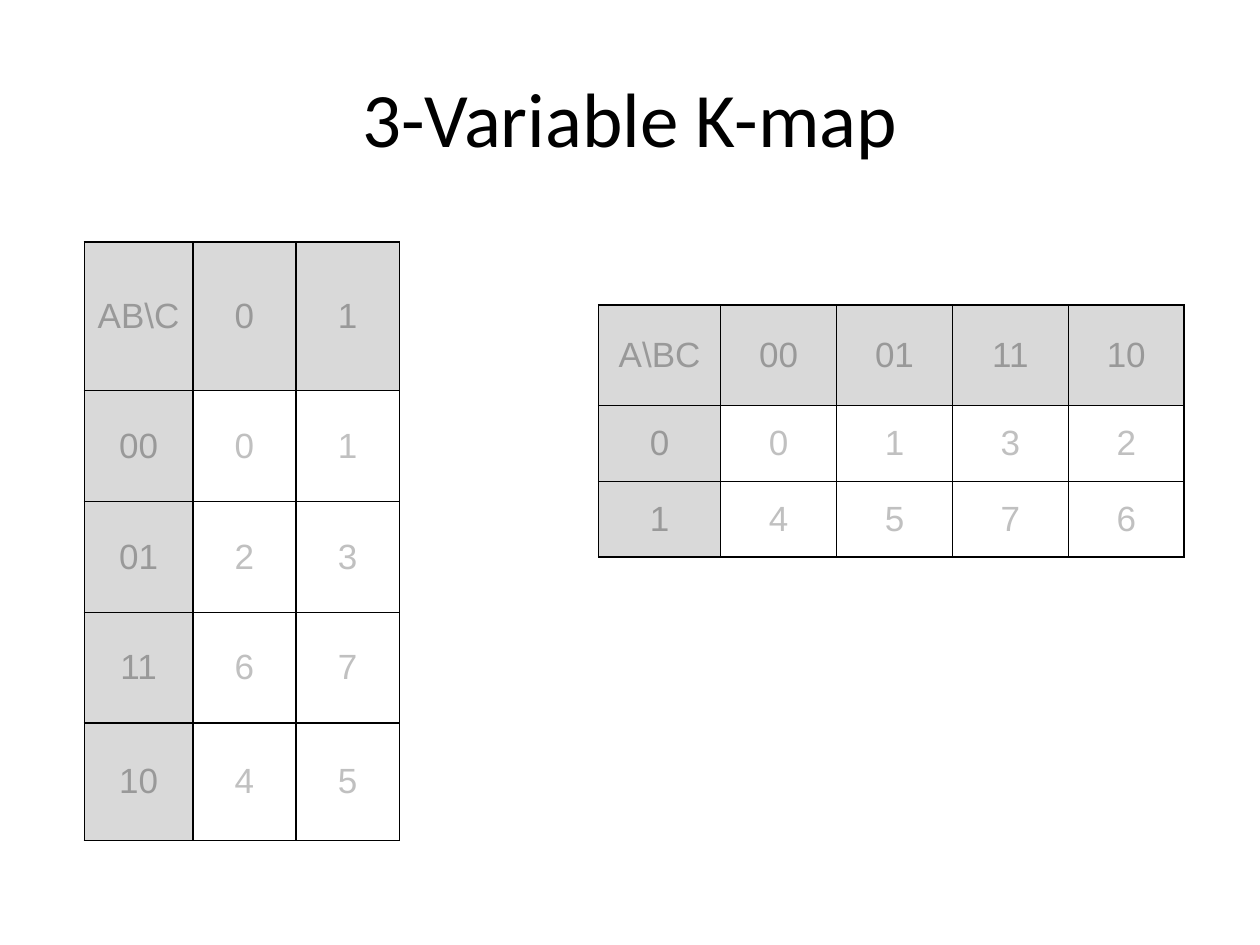
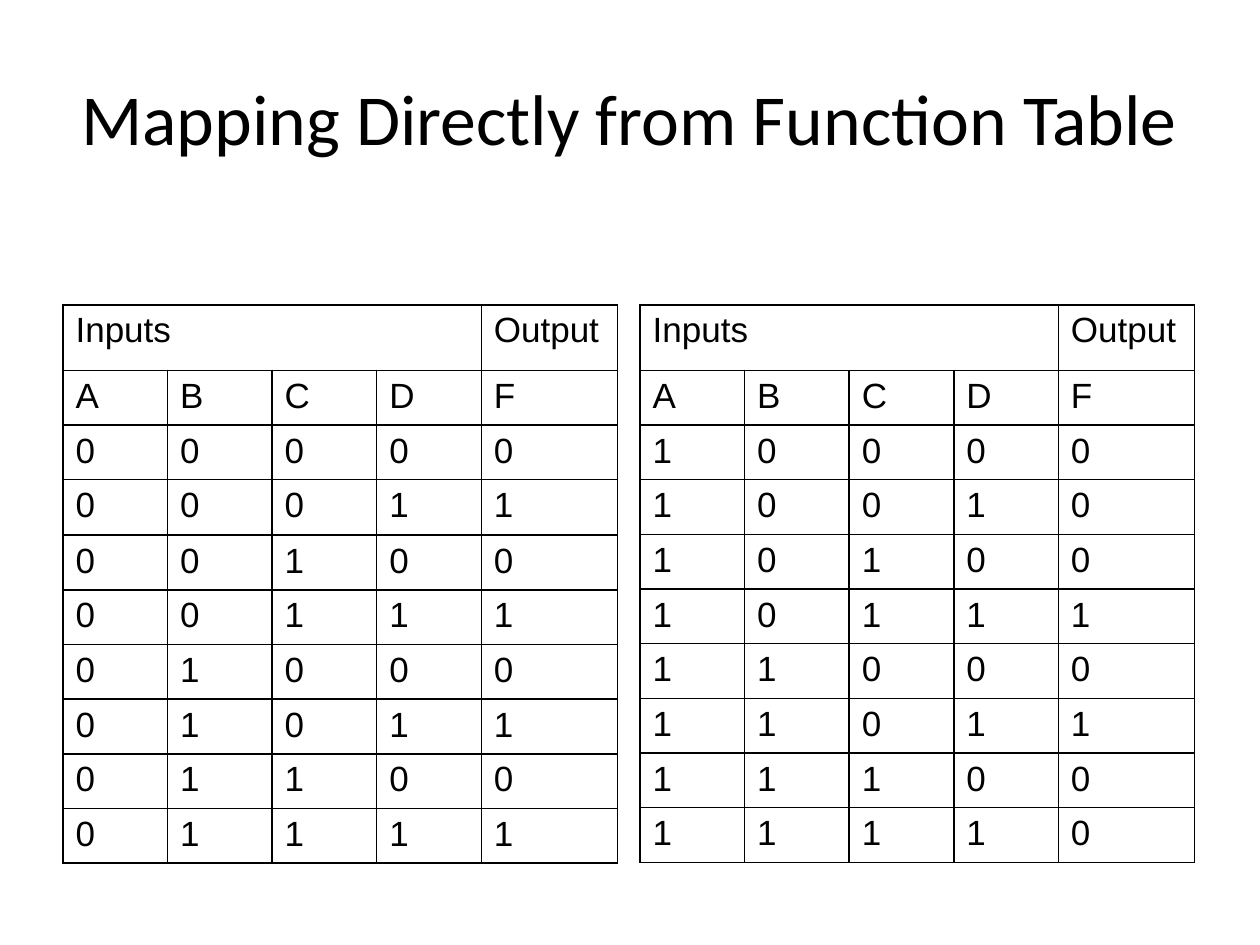
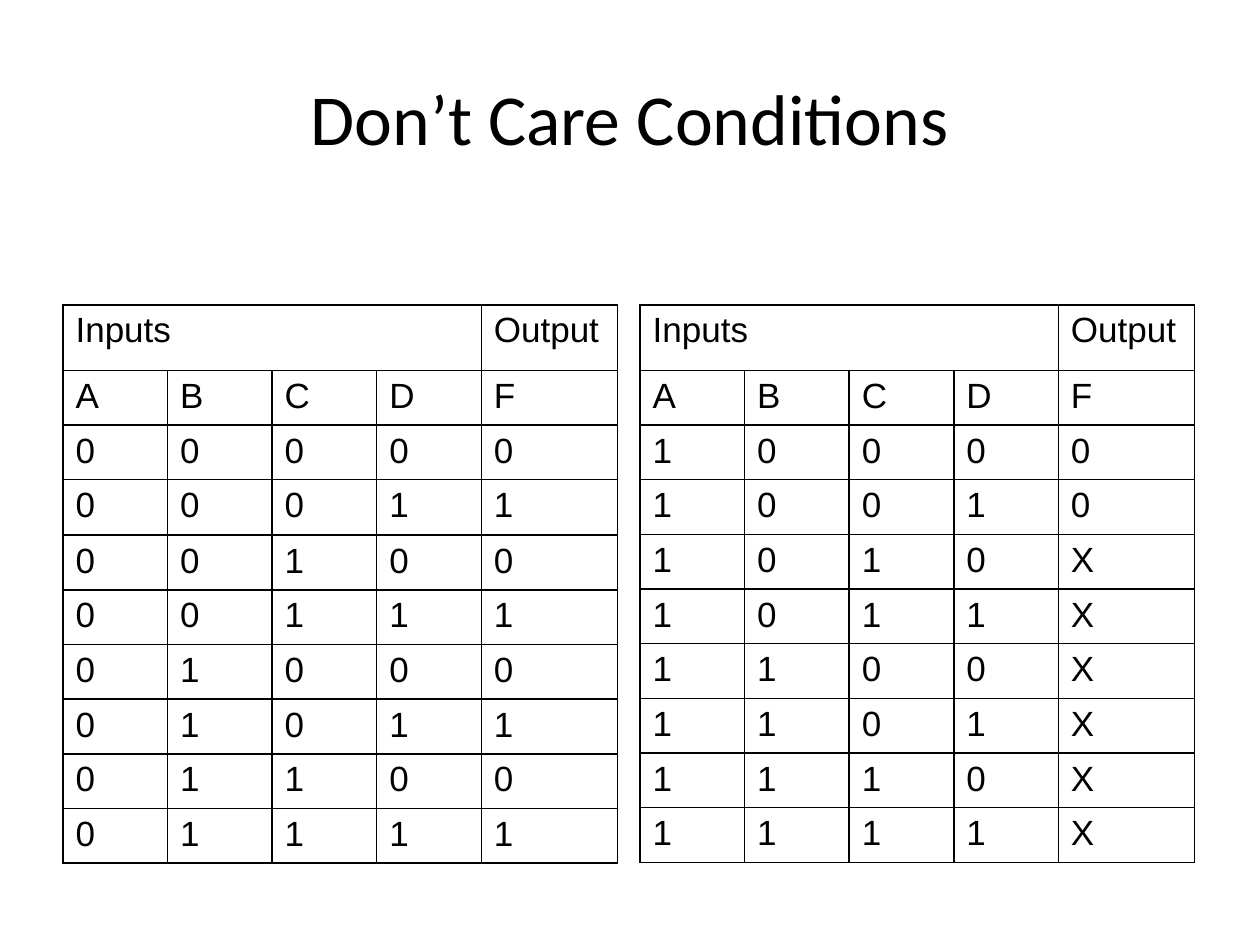
from itertools import product

from lxml import etree
from pptx import Presentation
from pptx.dml.color import RGBColor
from pptx.enum import text as t
from pptx.oxml import ns
from pptx.util import Inches, Pt

COLORS = {
    "ink": "000000",
    "paper": "FFFFFF",
    "header_fill": "D9D9D9",
    "header_text": "999999",
    "index_text": "C0C0C0",
}
TITLE_FONT, TABLE_FONT = "Calibri", "Arial"
TITLE_BOX = (0.5, 0.3, 9, 1.25)
HANGING = Inches(0.38)
GRAY_1, GRAY_2 = ["0", "1"], ["00", "01", "11", "10"]


def rgb(name):
    """Return the named colour."""
    return RGBColor.from_string(COLORS[name])


def style_para(para, font, size, color, align):
    """Format a paragraph and all of its runs."""
    para.alignment = align
    for span in para.runs:
        span.font.name = font
        span.font.size = Pt(size)
        span.font.bold = False
        span.font.color.rgb = rgb(color)


def add_page(deck, title, size):
    """Add a blank page with a centred title."""
    page = deck.slides.add_slide(deck.slide_layouts[6])
    page.background.fill.solid()
    page.background.fill.fore_color.rgb = rgb("paper")
    frame = page.shapes.add_textbox(*map(Inches, TITLE_BOX)).text_frame
    frame.word_wrap = True
    frame.vertical_anchor = t.MSO_ANCHOR.MIDDLE
    frame.text = title
    style_para(frame.paragraphs[0], TITLE_FONT, size, "ink", t.PP_ALIGN.CENTER)
    return page


def add_borders(cell):
    """Draw a thin line on all four sides of a cell."""
    props = cell._tc.get_or_add_tcPr()
    for order, side in enumerate(("lnL", "lnR", "lnT", "lnB")):
        line = etree.Element(ns.qn(f"a:{side}"), w=str(Pt(1)))
        fill = etree.SubElement(line, ns.qn("a:solidFill"))
        etree.SubElement(fill, ns.qn("a:srgbClr"), val=COLORS["ink"])
        props.insert(order, line)


def add_grid(page, box, columns, rows):
    """Add a plain bordered table in the box and return it."""
    frame = page.shapes.add_table(len(rows), len(columns), *map(Inches, box))
    table = frame.table
    table.first_row = table.horz_banding = False
    for column, width in zip(table.columns, columns):
        column.width = Inches(width)
    for row, height in zip(table.rows, rows):
        row.height = Inches(height)
    frame.height = Inches(box[3])
    for cell in table.iter_cells():
        cell.fill.background()
        add_borders(cell)
    return table


def write_cell(cell, content, color, align, hanging=True):
    """Write one line of text into a cell."""
    cell.text = content
    para = cell.text_frame.paragraphs[0]
    style_para(para, TABLE_FONT, 20, color, align)
    if hanging:
        props = para._p.get_or_add_pPr()
        props.set("marL", str(HANGING))
        props.set("indent", str(-HANGING))


def add_kmap(page, box, corner, row_codes, column_codes, columns, rows):
    """Add a Karnaugh map whose cells hold their minterm numbers."""
    table = add_grid(page, box, columns, rows)
    lines = [[corner, *column_codes]]
    lines += [[code, *(str(int(code + other, 2)) for other in column_codes)]
              for code in row_codes]
    for r, line in enumerate(lines):
        for c, content in enumerate(line):
            cell = table.cell(r, c)
            header = r == 0 or c == 0
            if header:
                cell.fill.solid()
                cell.fill.fore_color.rgb = rgb("header_fill")
            cell.vertical_anchor = t.MSO_ANCHOR.MIDDLE
            write_cell(cell, content, "header_text" if header else "index_text",
                       t.PP_ALIGN.CENTER)


def add_truth_table(page, box, first_input, outputs, rows, hanging):
    """Add half a function table: inputs A to D and the output F."""
    table = add_grid(page, box, [0.83] * 4 + [1.08], rows)
    table.cell(0, 0).merge(table.cell(0, 3))
    lines = [["Inputs", "", "", "", "Output"], list("ABCDF")]
    lines += [[first_input, *bits, output]
              for bits, output in zip(product("01", repeat=3), outputs)]
    for r, line in enumerate(lines):
        for c, content in enumerate(line):
            if content:
                write_cell(table.cell(r, c), content, "ink",
                           t.PP_ALIGN.JUSTIFY, hanging)


def add_function_page(deck, title, low_outputs, high_outputs):
    """Add a page with the two halves of a four-input function table."""
    page = add_page(deck, title, 41)
    low_rows = [0.52, 0.26, 0.26, 0.44] + [0.26] * 6
    high_rows = [0.52] + [0.26] * 9
    add_truth_table(page, (0.5, 2.42, 4.42, 4.44), "0", low_outputs, low_rows, True)
    add_truth_table(page, (5.08, 2.42, 4.42, 4.42), "1", high_outputs, high_rows, False)


def add_kmap_page(deck):
    """Add the page with both layouts of a three-variable map."""
    page = add_page(deck, "3-Variable K-map", 44)
    add_kmap(page, (0.67, 1.92, 2.5, 4.75), "AB\\C", GRAY_2, GRAY_1,
             [0.86] + [0.82] * 2, [1.18] + [0.88] * 3 + [0.93])
    add_kmap(page, (4.75, 2.42, 4.67, 2), "A\\BC", GRAY_1, GRAY_2,
             [0.97] + [0.92] * 4, [0.8] + [0.6] * 2)


deck = Presentation()
deck.slide_width, deck.slide_height = Inches(10), Inches(7.5)
add_kmap_page(deck)
add_function_page(deck, "Mapping Directly from Function Table", "01010101", "00010100")
add_function_page(deck, "Don’t Care Conditions", "01010101", "00XXXXXX")
deck.save("out.pptx")
